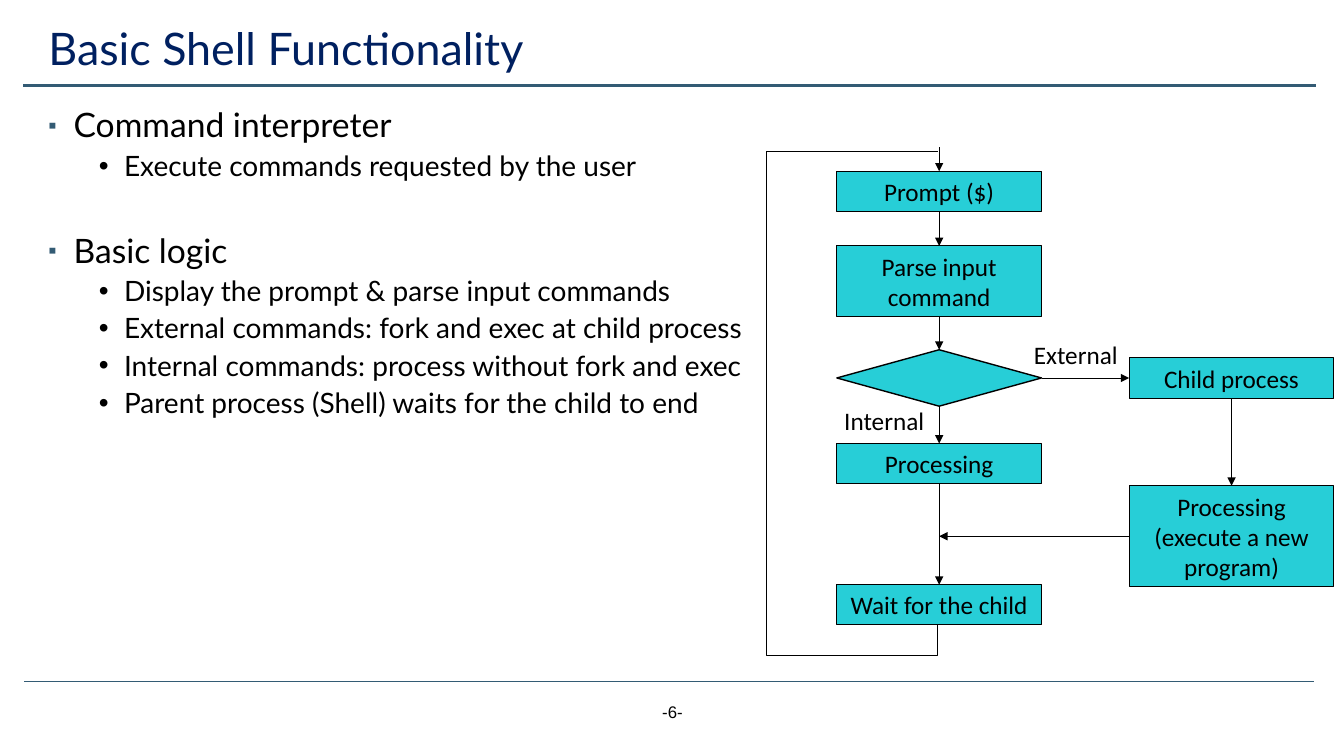
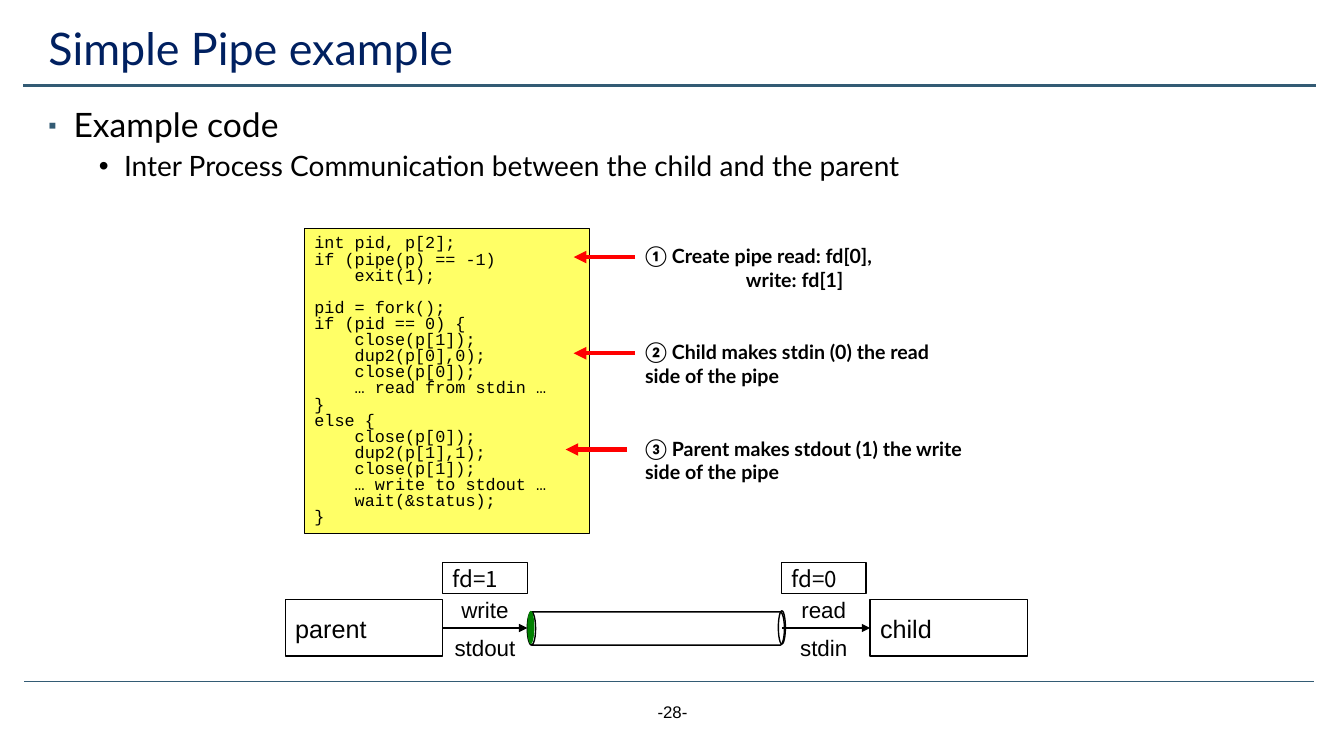
from lxml import etree
from pptx import Presentation
from pptx.dml.color import RGBColor
from pptx.enum.shapes import MSO_CONNECTOR, MSO_SHAPE
from pptx.enum.text import MSO_ANCHOR, MSO_AUTO_SIZE, PP_ALIGN
from pptx.oxml.ns import qn
from pptx.util import Inches, Pt

RECTANGLE, DECISION = MSO_SHAPE.RECTANGLE, MSO_SHAPE.FLOWCHART_DECISION
CAN, OVAL = MSO_SHAPE.CAN, MSO_SHAPE.OVAL
STRAIGHT = MSO_CONNECTOR.STRAIGHT
LEFT, CENTER, MIDDLE = PP_ALIGN.LEFT, PP_ALIGN.CENTER, MSO_ANCHOR.MIDDLE
NO_AUTOFIT = MSO_AUTO_SIZE.NONE
TOP_SIDE, LEFT_SIDE, BOTTOM_SIDE, RIGHT_SIDE = range(4)

BLACK = RGBColor(0x00, 0x00, 0x00)
NAVY = RGBColor(0x00, 0x20, 0x60)
SLATE = RGBColor(0x33, 0x5B, 0x74)
TURQUOISE = RGBColor(0x27, 0xCE, 0xD7)
YELLOW = RGBColor(0xFF, 0xFF, 0x66)
GREEN = RGBColor(0x01, 0x81, 0x01)
RED = RGBColor(0xFF, 0x00, 0x00)

# Every position is a number of grid cells, ten to the inch
CELL = Inches(0.1)

# Level: bullet, its colour, its size in percent, left margin, size, space before
LIST_LEVELS = [
    ("▪", SLATE, 70, 0.25, 24, 10),
    ("•", BLACK, 100, 0.75, 20, 5),
]


def add_box(slide, kind, area, lines=(), fill=None, outline=None,
            font="Arial", size=18, align=CENTER, bold=False, spacing=1.0):
    """Add a preset shape, or a text box when kind is None."""
    area = [round(cells * CELL) for cells in area]
    if kind is None:
        shape = slide.shapes.add_textbox(*area)
    else:
        shape = slide.shapes.add_shape(kind, *area)
        shape.shadow.inherit = False
    if fill is None:
        shape.fill.background()
    else:
        shape.fill.solid()
        shape.fill.fore_color.rgb = fill
    if outline is None:
        shape.line.fill.background()
    else:
        shape.line.color.rgb = BLACK
        shape.line.width = Pt(outline)
    frame = shape.text_frame
    frame.word_wrap = True
    frame.vertical_anchor = MIDDLE
    for index, text in enumerate(lines):
        paragraph = frame.add_paragraph() if index else frame.paragraphs[0]
        paragraph.alignment = align
        paragraph.line_spacing = spacing
        run = paragraph.add_run()
        run.text = text
        run.font.name, run.font.size = font, Pt(size)
        run.font.bold, run.font.color.rgb = bold, BLACK
    return shape


def add_line(slide, start, end, color=BLACK, weight=0.5, arrow=True):
    """Each end is a grid point, or a shape with the number of its side."""
    line = slide.shapes.add_connector(STRAIGHT, 0, 0, 0, 0)
    if hasattr(start[0], "shape_id"):
        line.begin_connect(*start)
    else:
        line.begin_x, line.begin_y = [round(cells * CELL) for cells in start]
    if hasattr(end[0], "shape_id"):
        line.end_connect(*end)
    else:
        line.end_x, line.end_y = [round(cells * CELL) for cells in end]
    line.line.color.rgb = color
    line.line.width = Pt(weight)
    properties = line._element.spPr
    if arrow:
        etree.SubElement(properties.find(qn("a:ln")), qn("a:tailEnd"), type="triangle")
    etree.SubElement(properties, qn("a:effectLst"))
    return line


presentation = Presentation()
presentation.slide_width, presentation.slide_height = Inches(13.33), Inches(7.5)
layout = presentation.slide_layouts[1]

# Shared layout: title and body areas
for placeholder, area in zip(layout.placeholders, [(3.8, 1.9, 124.3, 6.3),
                                                   (3.8, 10.3, 124.3, 56.2)]):
    (placeholder.left, placeholder.top,
     placeholder.width, placeholder.height) = [round(cells * CELL) for cells in area]

# Titles, lists and page numbers: (level, text, extra space before)
CONTENTS = [
    ("Basic Shell Functionality", 6, [
        (0, "Command interpreter", 0),
        (1, "Execute commands requested by the user", 0),
        (0, "Basic logic", 27),
        (1, "Display the prompt & parse input commands", 0),
        (1, "External commands: fork and exec at child process", 0),
        (1, "Internal commands: process without fork and exec", 0),
        (1, "Parent process (Shell) waits for the child to end", 0),
    ]),
    ("Simple Pipe example", 28, [
        (0, "Example code", 0),
        (1, "Inter Process Communication between the child and the parent", 0),
    ]),
]
slides = []
for title, page, items in CONTENTS:
    slide = presentation.slides.add_slide(layout)
    slides.append(slide)
    frame = slide.shapes.title.text_frame
    frame.auto_size, frame.vertical_anchor = NO_AUTOFIT, MIDDLE
    paragraph = frame.paragraphs[0]
    paragraph.alignment, paragraph.line_spacing = LEFT, 0.9
    run = paragraph.add_run()
    run.text = title
    run.font.name, run.font.size, run.font.color.rgb = "Lato", Pt(32), NAVY

    frame = slide.placeholders[1].text_frame
    frame.auto_size = NO_AUTOFIT
    for index, (level, text, extra) in enumerate(items):
        bullet, color, percent, margin, size, before = LIST_LEVELS[level]
        paragraph = frame.add_paragraph() if index else frame.paragraphs[0]
        paragraph.level, paragraph.line_spacing = level, 0.9
        paragraph.space_before = Pt(before + extra)
        properties = paragraph._p.get_or_add_pPr()
        properties.set("marL", str(Inches(margin)))
        properties.set("indent", str(Inches(-0.25)))
        bullet_color = etree.SubElement(properties, qn("a:buClr"))
        etree.SubElement(bullet_color, qn("a:srgbClr"), val=str(color))
        etree.SubElement(properties, qn("a:buSzPct"), val=str(percent * 1000))
        etree.SubElement(properties, qn("a:buFont"), typeface="Arial")
        etree.SubElement(properties, qn("a:buChar"), char=bullet)
        run = paragraph.add_run()
        run.text = text
        run.font.name, run.font.size, run.font.color.rgb = "Lato", Pt(size), BLACK

    add_box(slide, None, (51.7, 69.1, 30, 3), [f"-{page}-"], size=12)

shell_slide, pipe_slide = slides

# Shared layout: header and footer rules
for identifier, (left, right, row, weight) in enumerate(
        [(2.3, 130.5, 8.5, 1.75), (2.4, 130.3, 67.6, 0.5)], start=20):
    rule = add_line(shell_slide, (left, row), (right, row), SLATE, weight, arrow=False)
    rule._element.nvCxnSpPr.cNvPr.set("id", str(identifier))
    layout.shapes._spTree.append(rule._element)

# Shell flowchart: two columns of boxes
MAIN_COLUMN, CHILD_COLUMN, BOX_WIDTH = 83, 112, 20.3
MAIN_CENTER = MAIN_COLUMN + BOX_WIDTH / 2
prompt, parse_input, decision, child, execute, internal, wait = [
    add_box(shell_slide, kind, (column, top, BOX_WIDTH, height), lines,
            TURQUOISE, outline, "Calibri")
    for kind, column, top, height, outline, lines in [
        (RECTANGLE, MAIN_COLUMN, 17, 4, 0.75, ["Prompt ($)"]),
        (RECTANGLE, MAIN_COLUMN, 24.4, 7, 0.75, ["Parse input command"]),
        (DECISION, MAIN_COLUMN, 34.7, 5.6, 1, []),
        (RECTANGLE, CHILD_COLUMN, 35.5, 4, 0.75, ["Child process"]),
        (RECTANGLE, CHILD_COLUMN, 48.2, 10, 0.75,
         ["Processing", "(execute a new program)"]),
        (RECTANGLE, MAIN_COLUMN, 44, 4, 0.75, ["Processing"]),
        (RECTANGLE, MAIN_COLUMN, 58, 4, 0.75, ["Wait for the child"]),
    ]
]
for upper, lower in [(prompt, parse_input), (parse_input, decision),
                     (decision, internal), (internal, wait), (child, execute)]:
    add_line(shell_slide, (upper, BOTTOM_SIDE), (lower, TOP_SIDE))
add_line(shell_slide, (decision, RIGHT_SIDE), (child, LEFT_SIDE))
add_line(shell_slide, (execute, LEFT_SIDE), (MAIN_CENTER, 53.2))

# Loop from the last box back to the prompt
LOOP_COLUMN, LOOP_TOP, LOOP_BOTTOM = 75.8, 14.6, 64.6
builder = shell_slide.shapes.build_freeform(MAIN_CENTER, 62, scale=CELL)
builder.add_line_segments([(MAIN_CENTER, LOOP_BOTTOM), (LOOP_COLUMN, LOOP_BOTTOM),
                           (LOOP_COLUMN, LOOP_TOP), (MAIN_CENTER, LOOP_TOP)], close=False)
loop = builder.convert_to_shape()
loop.shadow.inherit = False
loop.fill.background()
loop.line.color.rgb, loop.line.width = BLACK, Pt(0.5)
add_line(shell_slide, (MAIN_CENTER, LOOP_TOP), (prompt, TOP_SIDE))

for text, left, top in [("External", 100.7, 33.2), ("Internal", 81.7, 39.7)]:
    add_box(shell_slide, None, (left, top, 12, 4), [text], font="Calibri")

# Pipe code: (indent depth, text, space before)
CODE = [
    (0, "int pid, p[2];", 0),
    (0, "if (pipe(p) == -1)", 0),
    (1, "exit(1);", 0),
    (0, "pid = fork();", 11.5),
    (0, "if (pid == 0) {", 0),
    (1, "close(p[1]);", 0),
    (1, "dup2(p[0],0);", 0),
    (1, "close(p[0]);", 0),
    (1, "… read from stdin …", 0),
    (0, "}", 0),
    (0, "else {", 0),
    (1, "close(p[0]);", 0),
    (1, "dup2(p[1],1);", 0),
    (1, "close(p[1]);", 0),
    (1, "… write to stdout …", 0),
    (1, "wait(&status);", 0),
    (0, "}", 0),
]
code_box = add_box(pipe_slide, RECTANGLE, (30.2, 22.7, 28.3, 30.2),
                   [text for _, text, _ in CODE], YELLOW, 0.75,
                   "Courier New", 12, LEFT, spacing=0.8)
for paragraph, (depth, _, before) in zip(code_box.text_frame.paragraphs, CODE):
    paragraph._p.get_or_add_pPr().set("marL", str(Inches(0.4 * depth)))
    paragraph.space_before = Pt(before)

# Numbered remarks and their red arrows
for number, (lines, arrow_start) in enumerate([
        (["① Create pipe read: fd[0],", "write: fd[1]"], 63),
        (["② Child makes stdin (0) the read side of the pipe"], 63),
        (["③ Parent makes stdout (1) the write side of the pipe"], 62.2)]):
    top = 23.7 + 9.55 * number
    remark = add_box(pipe_slide, None, (63, top, 33.5 if number == 2 else 31.9, 5.7), lines,
                     font="Lato", size=14, align=LEFT, bold=True)
    for paragraph in remark.text_frame.paragraphs[1:]:
        paragraph._p.get_or_add_pPr().set("marL", str(Inches(1)))
    add_line(pipe_slide, (arrow_start, top + 1.8), (arrow_start - 6.1, top + 1.8), RED, 3)

# Pipe diagram: parent, pipe, child
PIPE_ROW = 62.3
parent, child = [
    add_box(pipe_slide, RECTANGLE, (left, PIPE_ROW - 2.8, 15.6, 5.6), [name],
            outline=1, align=LEFT)
    for left, name in [(28.3, "parent"), (86.3, "child")]
]
pipe = add_box(pipe_slide, CAN, (63.4, 49.6, 3.3, 25.5), outline=1)
pipe.rotation = 270
add_box(pipe_slide, OVAL, (52.3, 60.6, 0.7, 3.3), fill=GREEN)
add_box(pipe_slide, OVAL, (77.2, 60.6, 0.7, 3.3), outline=1)
add_line(pipe_slide, (parent, RIGHT_SIDE), (52.3, PIPE_ROW), weight=1)
add_line(pipe_slide, (77.6, PIPE_ROW), (child, LEFT_SIDE), weight=1)

for left, descriptor, action, stream in [(43.9, "fd=1", "write", "stdout"),
                                         (77.5, "fd=0", "read", "stdin")]:
    add_box(pipe_slide, RECTANGLE, (left, 55.8, 8.4, 3.1), [descriptor], outline=1,
            font="Noto Sans CJK KR", size=16, align=LEFT)
    for text, top in [(action, 58.6), (stream, 62.4)]:
        add_box(pipe_slide, None, (left, top, 8.4, 3.7), [text], size=16)

presentation.save("out.pptx")
